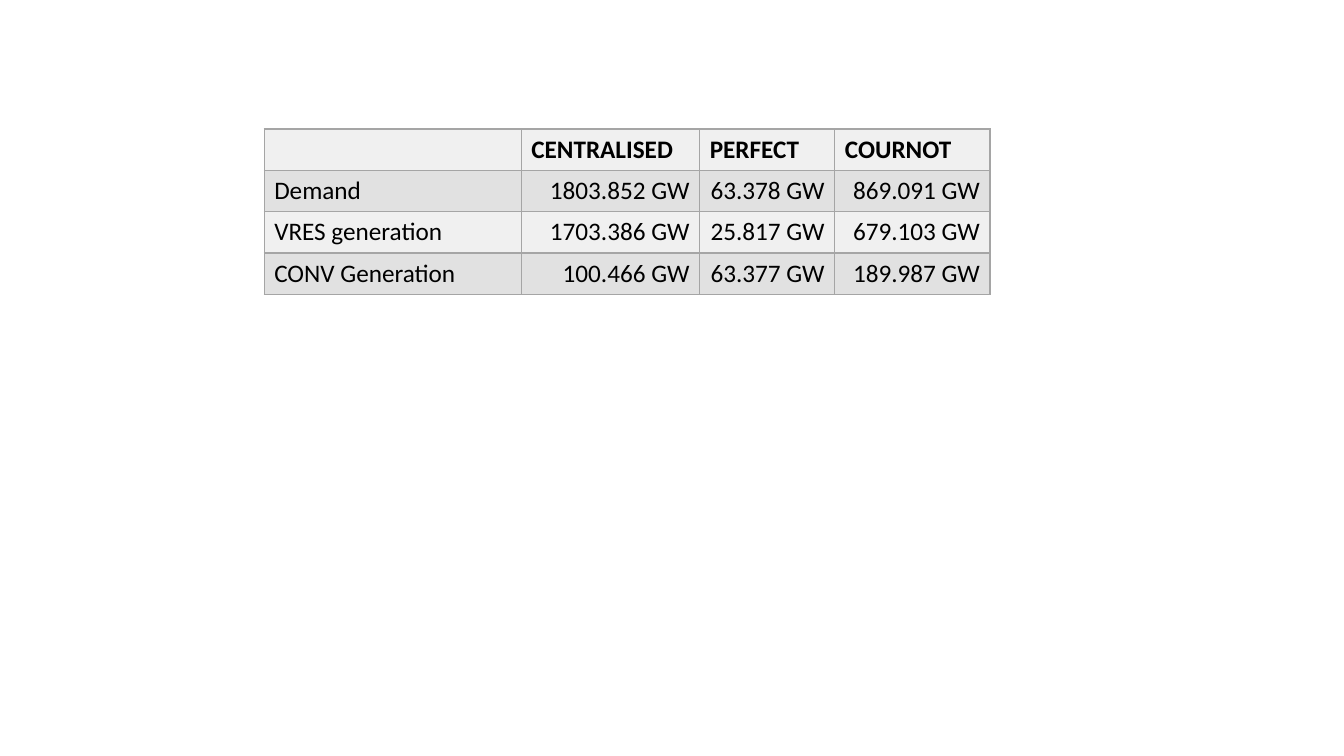
from dataclasses import dataclass

from lxml.etree import SubElement
from pptx import Presentation
from pptx.dml.color import RGBColor
from pptx.enum.text import PP_ALIGN
from pptx.oxml.ns import qn
from pptx.util import Inches, Pt


@dataclass(frozen=True)
class Theme:
    font: str = "Calibri"
    text_size: int = 18
    text: str = "000000"
    border: str = "A5A5A5"
    border_width: int = 1
    bands: tuple = ("F0F0F0", "E1E1E1")


THEME = Theme()
COLUMN_WIDTHS = (2.55, 1.77, 1.34, 1.54)
ROW_HEIGHT = 0.41
GENERATION_ROWS = (
    ("", "CENTRALISED", "PERFECT", "COURNOT"),
    ("Demand", "1803.852 GW", "63.378 GW", "869.091 GW"),
    ("VRES generation", "1703.386 GW", "25.817 GW", "679.103 GW"),
    ("CONV Generation", "100.466 GW", "63.377 GW", "189.987 GW"),
)


def set_borders(cell):
    properties = cell._tc.get_or_add_tcPr()
    for side in ("lnL", "lnR", "lnT", "lnB"):
        line = SubElement(properties, qn(f"a:{side}"), w=str(Pt(THEME.border_width)))
        fill = SubElement(line, qn("a:solidFill"))
        SubElement(fill, qn("a:srgbClr"), val=THEME.border)


def format_cell(cell, text, band, bold, alignment):
    set_borders(cell)
    cell.fill.solid()
    cell.fill.fore_color.rgb = RGBColor.from_string(band)
    cell.text = text
    paragraph = cell.text_frame.paragraphs[0]
    paragraph.alignment = alignment
    paragraph.font.name = THEME.font
    paragraph.font.size = Pt(THEME.text_size)
    paragraph.font.bold = bold
    paragraph.font.color.rgb = RGBColor.from_string(THEME.text)


def add_generation_table(slide, left, top):
    frame = slide.shapes.add_table(
        len(GENERATION_ROWS), len(COLUMN_WIDTHS), Inches(left), Inches(top),
        Inches(sum(COLUMN_WIDTHS)), Inches(ROW_HEIGHT * len(GENERATION_ROWS)),
    )
    table = frame.table
    for column, width in zip(table.columns, COLUMN_WIDTHS):
        column.width = Inches(width)
    for row_index, texts in enumerate(GENERATION_ROWS):
        table.rows[row_index].height = Inches(ROW_HEIGHT)
        is_header = row_index == 0
        band = THEME.bands[row_index % len(THEME.bands)]
        for column_index, text in enumerate(texts):
            is_value = not is_header and column_index > 0
            alignment = PP_ALIGN.RIGHT if is_value else PP_ALIGN.LEFT
            format_cell(table.cell(row_index, column_index), text, band, is_header, alignment)


def main():
    presentation = Presentation()
    presentation.slide_width = Inches(13.33)
    presentation.slide_height = Inches(7.5)
    slide = presentation.slides.add_slide(presentation.slide_layouts[6])
    add_generation_table(slide, 2.62, 1.28)
    presentation.save("out.pptx")


if __name__ == "__main__":
    main()
